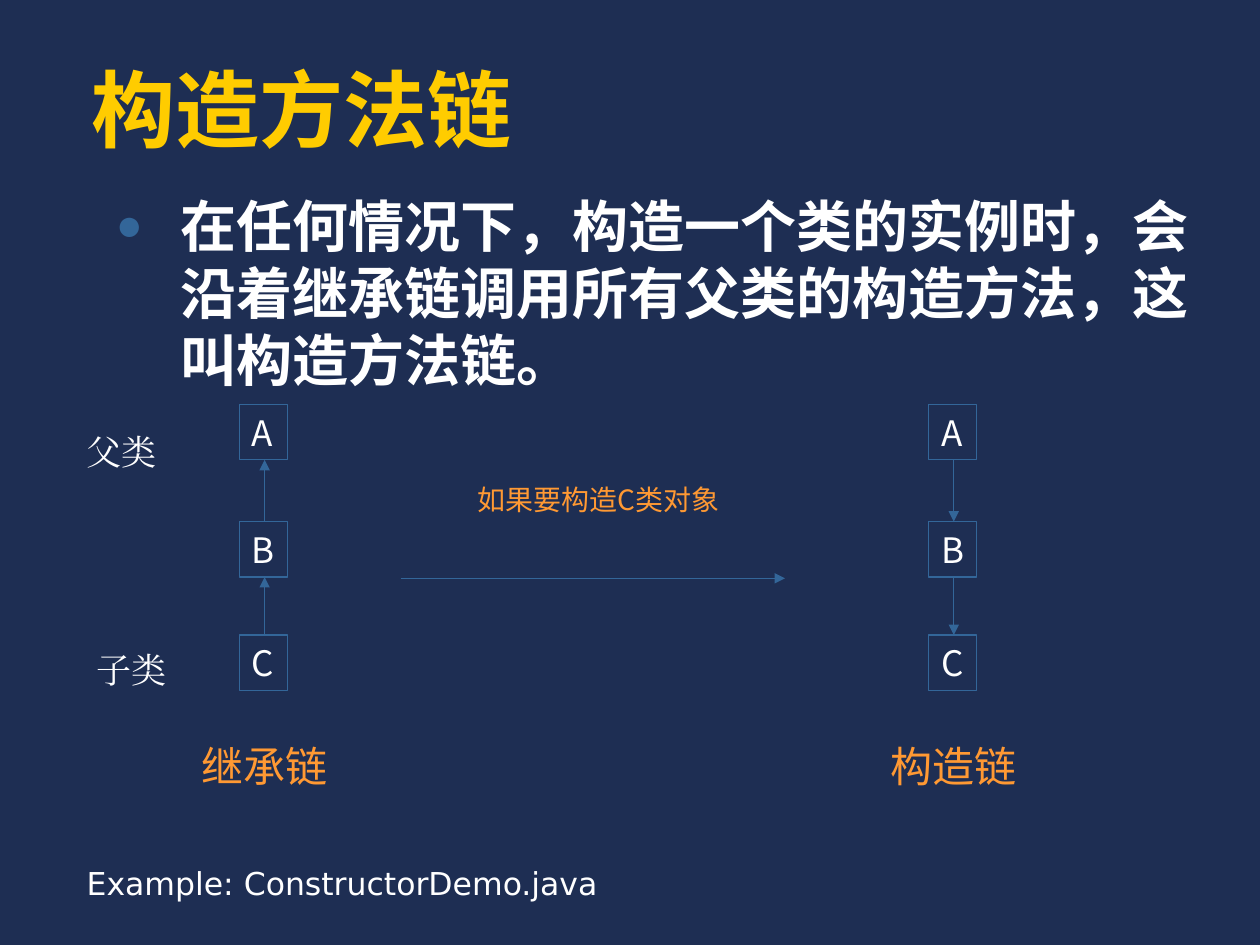
from lxml import etree
from pptx import Presentation
from pptx import util as u
from pptx.dml.color import RGBColor
from pptx.enum import shapes, text
from pptx.oxml.ns import qn

NAVY, BLUE, WHITE, YELLOW, ORANGE = "1E2E53", "336699", "FFFFFF", "FFCC00", "FF9933"
SANS = "Noto Sans CJK SC"
BOX_WIDTH, BOX_HEIGHT = 0.38, 0.44
ROWS = {"A": 3.21, "B": 4.14, "C": 5.04}


def color(value):
    return RGBColor.from_string(value)


def place(shape, left, top, width, height):
    shape.left, shape.top = u.Inches(left), u.Inches(top)
    shape.width, shape.height = u.Inches(width), u.Inches(height)


def write(shape, words, size, font, ink, bold=False, align=text.PP_ALIGN.LEFT,
          anchor=text.MSO_ANCHOR.MIDDLE, wrap=True):
    """Fill a shape with one formatted paragraph and return the paragraph."""
    frame = shape.text_frame
    frame.text = words
    frame.word_wrap = wrap
    frame.auto_size = text.MSO_AUTO_SIZE.NONE
    frame.vertical_anchor = anchor
    para = frame.paragraphs[0]
    para.alignment = align
    para.space_before = u.Pt(0)
    span = para.runs[0]
    span.font.size, span.font.name, span.font.bold = u.Pt(size), font, bold
    span.font.color.rgb = color(ink)
    east_asian = etree.Element(qn("a:ea"), typeface=font)
    span.font._element.find(qn("a:latin")).addnext(east_asian)
    return para


def add_bullet(para, indent):
    props = para._p.get_or_add_pPr()
    props.set("marL", str(u.Inches(indent)))
    props.set("indent", str(-u.Inches(indent)))
    bullet_color = etree.SubElement(props, qn("a:buClr"))
    etree.SubElement(bullet_color, qn("a:srgbClr"), val=BLUE)
    etree.SubElement(props, qn("a:buSzPct"), val="80000")
    etree.SubElement(props, qn("a:buChar"), char="●")


def add_label(slide, words, area, size, font, ink, **layout):
    box = slide.shapes.add_textbox(0, 0, 0, 0)
    place(box, *area)
    write(box, words, size, font, ink, **layout)


def add_arrow(slide, start, end):
    points = [u.Inches(value) for value in (*start, *end)]
    arrow = slide.shapes.add_connector(shapes.MSO_CONNECTOR.STRAIGHT, *points)
    arrow.line.color.rgb = color(BLUE)
    arrow.line.width = u.Pt(0.75)
    etree.SubElement(arrow.line._get_or_add_ln(), qn("a:tailEnd"), type="triangle")
    etree.SubElement(arrow._element.spPr, qn("a:effectLst"))


def add_class_box(slide, name, left, top):
    box = slide.shapes.add_shape(shapes.MSO_SHAPE.RECTANGLE, 0, 0, 0, 0)
    place(box, left, top, BOX_WIDTH, BOX_HEIGHT)
    box.shadow.inherit = False
    box.fill.background()
    box.line.color.rgb = color(BLUE)
    box.line.width = u.Pt(0.75)
    write(box, name, 20, SANS, WHITE)


def add_chain(slide, left, caption, upward):
    """Stack the class boxes, join them with arrows and caption the column."""
    for name, top in ROWS.items():
        add_class_box(slide, name, left, top)
    tops = list(ROWS.values())
    axis = left + 0.2
    for upper, lower in zip(tops, tops[1:]):
        ends = [(axis, upper + BOX_HEIGHT), (axis, lower)]
        add_arrow(slide, *(reversed(ends) if upward else ends))
    add_label(slide, caption, (axis - 0.6, 5.83, 1.2, 0.5), 24, SANS, ORANGE,
              align=text.PP_ALIGN.CENTER, wrap=False)


def main():
    deck = Presentation()
    deck.slide_width, deck.slide_height = u.Inches(10), u.Inches(7.5)
    slide = deck.slides.add_slide(deck.slide_layouts[1])
    slide.background.fill.solid()
    slide.background.fill.fore_color.rgb = color(NAVY)

    title, body = slide.placeholders
    place(title, 0.63, 0.33, 8.75, 0.98)
    write(title, "构造方法链", 48, "Arial", YELLOW, bold=True,
          anchor=text.MSO_ANCHOR.BOTTOM)
    place(body, 0.82, 1.47, 8.75, 5.12)
    para = write(body, "在任何情况下，构造一个类的实例时，会沿着继承链调用所有父类的构造方法，这叫构造方法链。",
                 32, "Arial", WHITE, bold=True, anchor=text.MSO_ANCHOR.TOP)
    add_bullet(para, 0.51)

    add_label(slide, "Example: ConstructorDemo.java", (0.59, 6.81, 8.74, 0.4),
              18, "DejaVu Sans", WHITE)
    add_chain(slide, 1.9, "继承链", upward=True)
    add_chain(slide, 7.37, "构造链", upward=False)
    add_label(slide, "如果要构造C类对象", (3.64, 3.78, 2.22, 0.37), 16, SANS, ORANGE,
              align=text.PP_ALIGN.CENTER, wrap=False)
    add_arrow(slide, (3.18, 4.59), (6.23, 4.59))
    for words, left, top in (("父类", 0.59, 3.36), ("子类", 0.67, 5.09)):
        add_label(slide, words, (left, top, 0.87, 0.44), 20, "Times New Roman", WHITE)
    deck.save("out.pptx")


if __name__ == "__main__":
    main()
